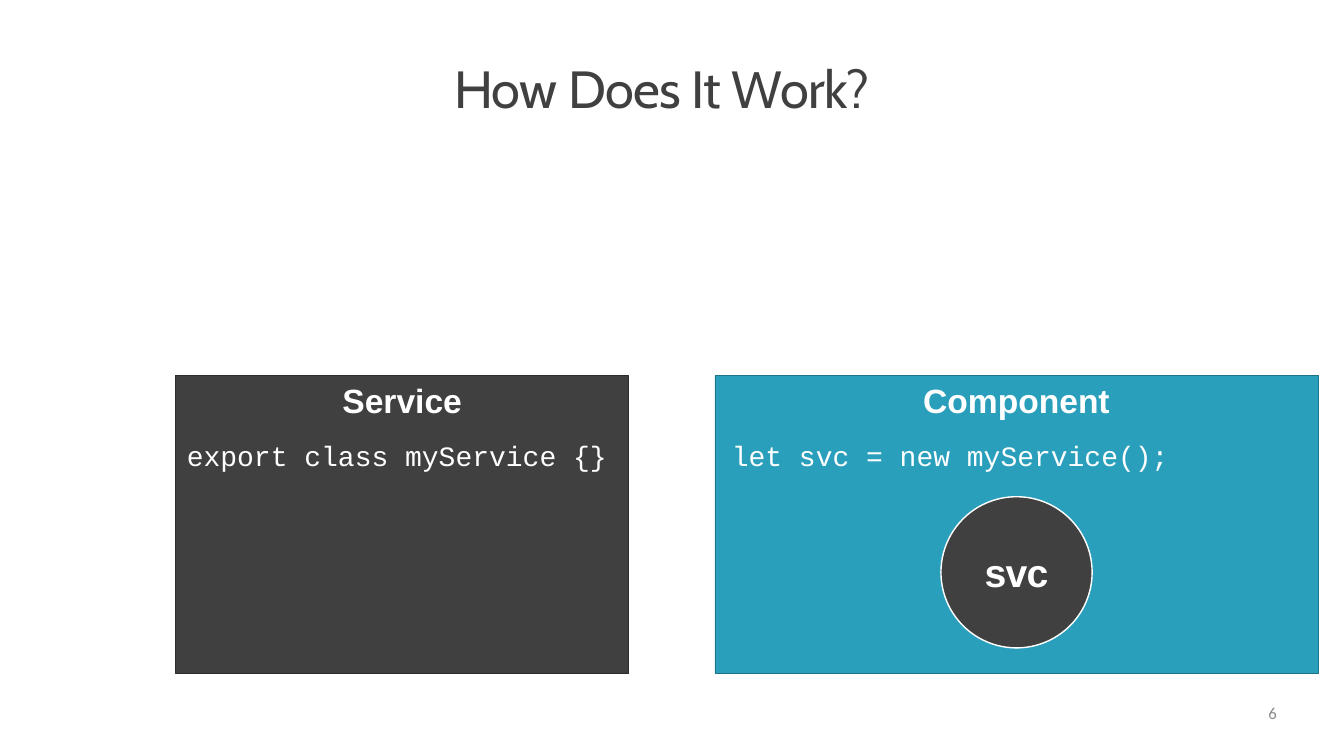
"""Build the "How Does It Work?" slide comparing a service with a component."""
from dataclasses import dataclass

from pptx import Presentation
from pptx import util as u
from pptx.dml.color import RGBColor
from pptx.enum import shapes, text


@dataclass(frozen=True)
class Theme:
    dark: str = "404040"
    dark_edge: str = "2C2C2C"
    teal: str = "2A9FBC"
    teal_edge: str = "1C7489"
    white: str = "FFFFFF"
    grey: str = "8C8C8C"
    title_size: float = 56
    instance_size: float = 42
    heading_size: float = 36
    code_size: float = 30
    number_size: float = 18
    title_font: str = "Cabin"
    heading_font: str = "Arial"
    code_font: str = "Courier New"
    number_font: str = "Calibri"


THEME = Theme()
WIDTH, HEIGHT = u.Inches(20), u.Inches(11.25)

TITLE = "How Does It Work?"
INSTANCE = "svc"
PAGE = "6"
PANELS = [
    dict(heading="Component", code="let svc = new myService();", left=53.2, width=44.87,
         indent=0.25, fill=THEME.teal, edge=THEME.teal_edge),
    dict(heading="Service", code="export class myService {}", left=13.05, width=33.75,
         indent=0.17, fill=THEME.dark, edge=THEME.dark_edge),
]
PANEL_TOP, PANEL_HEIGHT = 49.69, 39.38
TITLE_AREA = (33.8, 7.29, 32.45, 8.53)
PAGE_AREA = (72, 92.98, 23, 4.98)
CIRCLE_SHARE, CIRCLE_MIDDLE = 11.25, 75.7


def area(left, top, width, height):
    """Turn percentages of the slide into lengths."""
    return [int(side * share / 100) for side, share in
            zip((WIDTH, HEIGHT, WIDTH, HEIGHT), (left, top, width, height))]


def style(paragraph, face, size, color, align, bold=False, tracking=0):
    """Format a paragraph and its runs."""
    paragraph.alignment = align
    for run in paragraph.runs:
        run.font.name, run.font.size, run.font.bold = face, u.Pt(size), bold
        run.font.color.rgb = RGBColor.from_string(color)
        if tracking:
            run.font._element.set("spc", str(int(tracking * 100)))


def prepare(frame, top=0, anchor=text.MSO_ANCHOR.TOP):
    """Set the insets, wrapping and anchor of a text frame."""
    frame.margin_left = frame.margin_right = frame.margin_bottom = 0
    frame.margin_top = u.Inches(top)
    frame.word_wrap = True
    frame.auto_size = text.MSO_AUTO_SIZE.NONE
    frame.vertical_anchor = anchor
    return frame


def add_filled(slide, kind, place, fill, edge, weight):
    """Add a flat filled shape with an outline."""
    shape = slide.shapes.add_shape(kind, *place)
    shape.shadow.inherit = False
    shape.fill.solid()
    shape.fill.fore_color.rgb = RGBColor.from_string(fill)
    shape.line.color.rgb = RGBColor.from_string(edge)
    shape.line.width = u.Pt(weight)
    return shape


def add_panel(slide, panel):
    """Add a panel with its heading and line of code."""
    place = area(panel["left"], PANEL_TOP, panel["width"], PANEL_HEIGHT)
    box = add_filled(slide, shapes.MSO_SHAPE.RECTANGLE, place, panel["fill"], panel["edge"], 1)
    frame = prepare(box.text_frame, top=0.07)
    frame.text = panel["heading"] + "\n" + panel["code"]
    heading, code = frame.paragraphs
    style(heading, THEME.heading_font, THEME.heading_size, THEME.white,
          text.PP_ALIGN.CENTER, bold=True)
    style(code, THEME.code_font, THEME.code_size, THEME.white, text.PP_ALIGN.LEFT)
    code.space_before = u.Pt(18.7)
    code._p.get_or_add_pPr().set("marL", str(u.Inches(panel["indent"])))
    return box


def add_instance(slide, panel):
    """Add the service instance circle, centred across its panel."""
    diameter = int(WIDTH * CIRCLE_SHARE / 100)
    left = panel.left + (panel.width - diameter) // 2
    top = int(HEIGHT * CIRCLE_MIDDLE / 100) - diameter // 2
    circle = add_filled(slide, shapes.MSO_SHAPE.OVAL, (left, top, diameter, diameter),
                        THEME.dark, THEME.white, 1.5)
    frame = prepare(circle.text_frame, anchor=text.MSO_ANCHOR.MIDDLE)
    frame.text = INSTANCE
    style(frame.paragraphs[0], THEME.heading_font, THEME.instance_size, THEME.white,
          text.PP_ALIGN.CENTER, bold=True, tracking=-0.9)


def main():
    """Assemble and save the slide."""
    deck = Presentation()
    deck.slide_width, deck.slide_height = WIDTH, HEIGHT
    slide = deck.slides.add_slide(deck.slide_layouts[5])

    title = slide.shapes.title
    title.left, title.top, title.width, title.height = area(*TITLE_AREA)
    frame = prepare(title.text_frame, top=0.02)
    frame.text = TITLE
    style(frame.paragraphs[0], THEME.title_font, THEME.title_size, THEME.dark,
          text.PP_ALIGN.LEFT, tracking=-0.7)

    component, _ = [add_panel(slide, panel) for panel in PANELS]
    add_instance(slide, component)

    number = slide.shapes.add_textbox(*area(*PAGE_AREA))
    frame = prepare(number.text_frame)
    frame.text = PAGE
    style(frame.paragraphs[0], THEME.number_font, THEME.number_size, THEME.grey,
          text.PP_ALIGN.RIGHT)

    deck.save("out.pptx")


if __name__ == "__main__":
    main()
